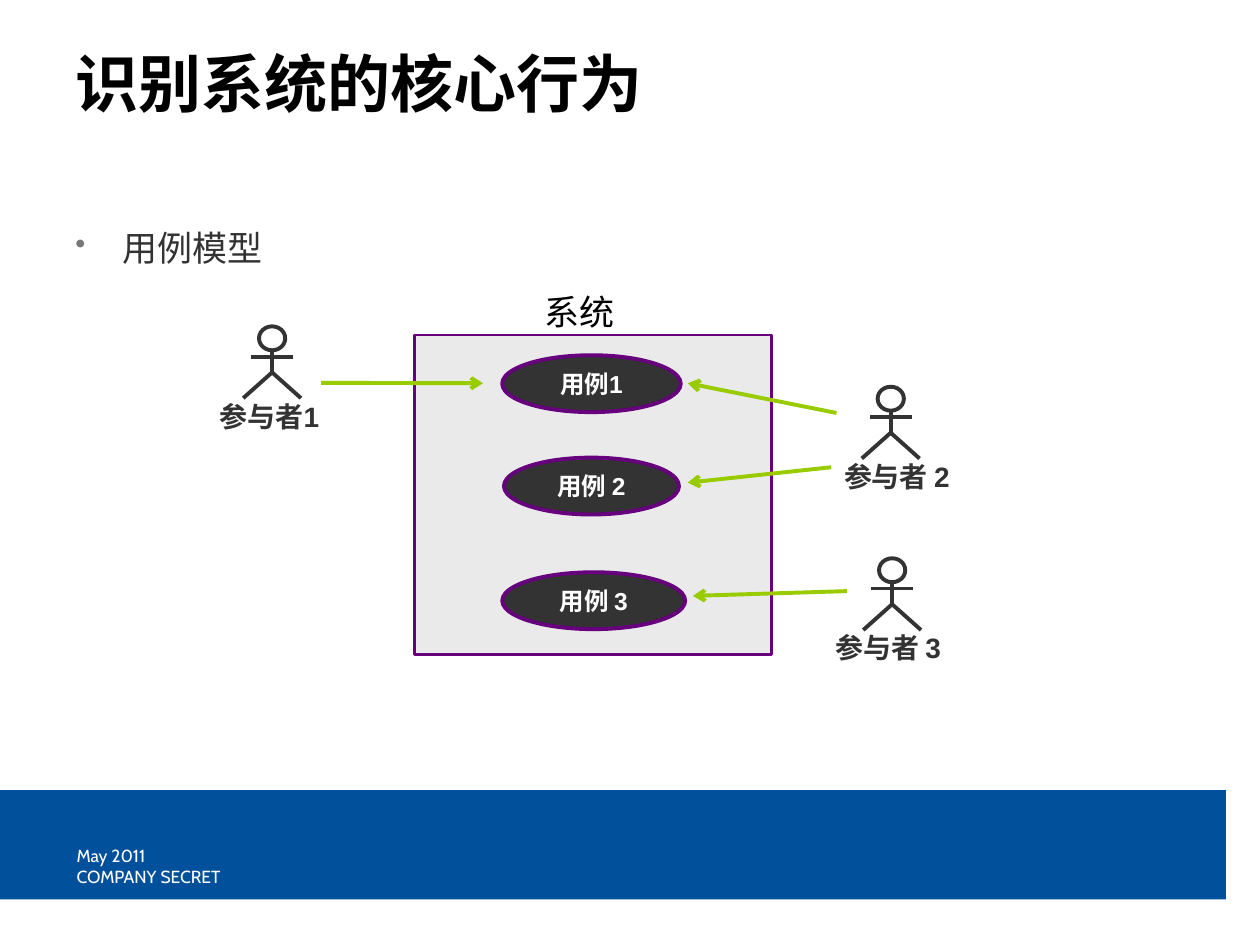
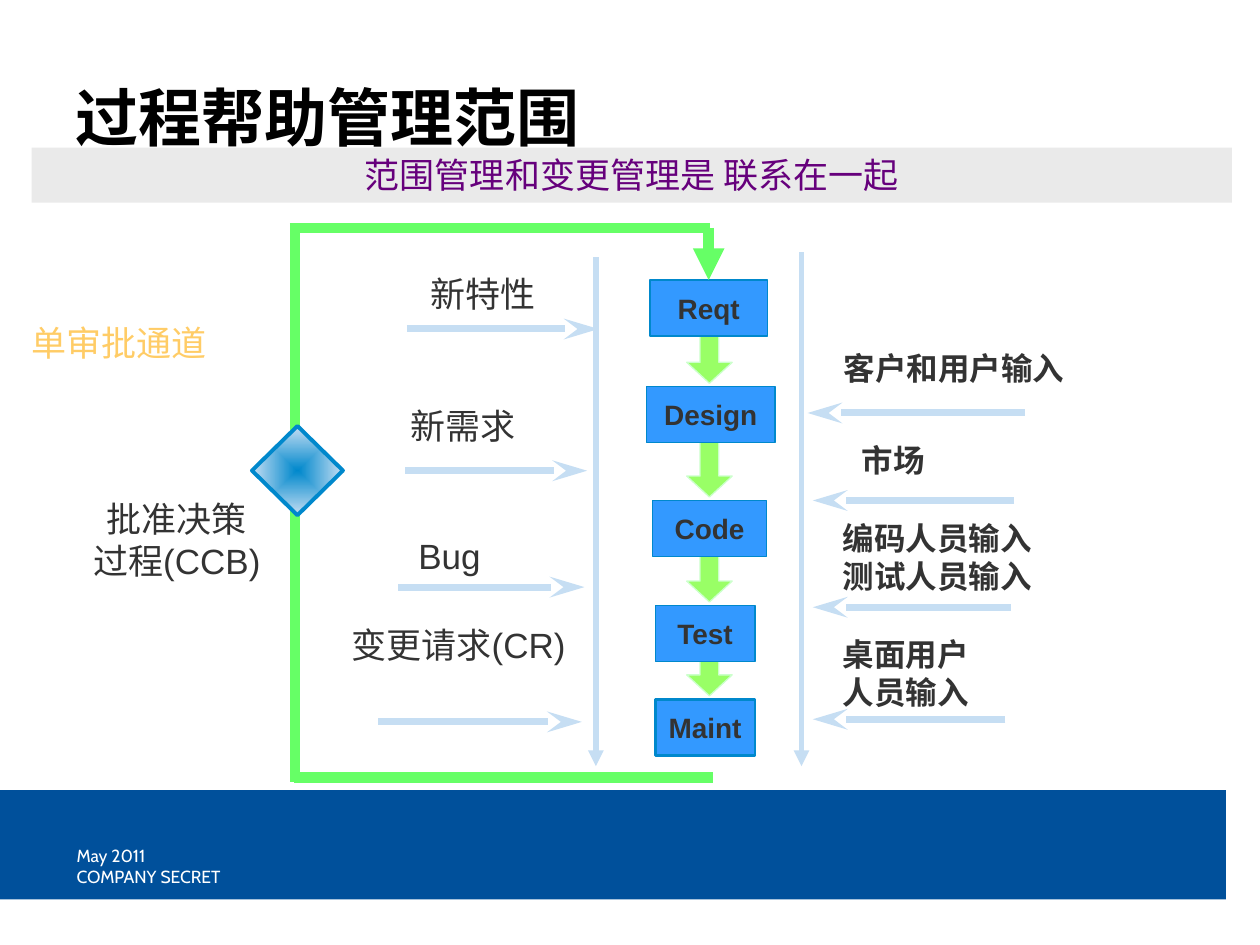
"""Builds two slides: a use-case model and a scope-management process."""
from lxml import etree
from pptx import Presentation
from pptx import util as u
from pptx.dml.color import RGBColor
from pptx.enum import shapes, text
from pptx.oxml.ns import qn

Pt = u.Pt
COLORS = dict(black="000000", white="FFFFFF", ink="333333", band="00509B", panel="EAEAEA",
              purple="66007C", lime="99CC00", bullet="777777", pale="C6DEF3", blue="3399FF",
              edge="0088CC", loop="66FF66", step="99FF66", step_edge="CCFFCC", amber="FFCC66")
FORMATS = dict(
    title=dict(name="Roboto", size=Pt(36), bold=True),
    footer=dict(name="Cabin", size=Pt(10)),
    bullet=dict(name="Cabin", size=Pt(20)),
    label=dict(name="Arial", size=Pt(20)),
    input=dict(name="Arial", size=Pt(18), bold=True),
    node=dict(name="Arial", size=Pt(16), bold=True),
    case=dict(name="Arial", size=Pt(14), bold=True),
)
LEFT, CENTER = text.PP_ALIGN.LEFT, text.PP_ALIGN.CENTER
TOP, MIDDLE = text.MSO_ANCHOR.TOP, text.MSO_ANCHOR.MIDDLE
KIND = shapes.MSO_SHAPE

FOOTER = ["May 2011", "COMPANY SECRET"]
TITLES = ["识别系统的核心行为", "过程帮助管理范围"]

USE_CASES = [("用例1", 287, 203, 102), ("用例 2", 288, 261.5, 100), ("用例 3", 287, 327, 104.5)]
ACTORS = [("参与者1", 155.5, 186.5, 154), ("参与者 2", 509, 221, 512.5),
          ("参与者 3", 509.8, 319, 507.5)]
USES = [(183.5, 218.8, 276, 219), (478, 236, 393, 219),
        (475, 267, 393, 275.8), (484, 337.8, 396, 340.5)]

BANNER = "范围管理和变更管理是 联系在一起"
REQUESTS = [("新特性", 239, 152, 232.5, 342, 188), ("新需求", 227.5, 227.5, 231.5, 335.5, 269),
            ("Bug", 232, 301.7, 227.5, 334, 335.5), ("变更请求(CR)", 193.7, 353, 216, 332.5, 412.5)]
INPUTS = [(["客户和用户输入"], 475, 196, 585.5, 461.5, 236),
          (["市场"], 485.3, 248.4, 579.5, 464.5, 286),
          (["编码人员输入", "测试人员输入"], 474.5, 293, 577.5, 464.5, 347),
          (["桌面用户", "人员输入"], 474.5, 359.3, 574.5, 464.5, 411)]
STEPS = [("Reqt", 371.5, 160, 67, 0.75), ("Design", 369.4, 221, 73.5, 0.75),
         ("Code", 373, 286, 65, 0.75), ("Test", 374.4, 346, 57, 0.75),
         ("Maint", 374.4, 399.6, 57, 1.5)]
STEP_H = 32
CHANNELS = [(340.5, 147), (458, 144)]
LOOP = [(168.5, 129.6, 168.5, 447), (165.6, 130.3, 406, 130.3), (167.8, 444.2, 407.5, 444.2)]


def rgb(key):
    return RGBColor.from_string(COLORS[key])


def fill_text(tf, lines, style, color, align=LEFT, anchor=TOP, wrap=True):
    for key, value in dict(word_wrap=wrap, vertical_anchor=anchor, margin_left=Pt(7.2),
                           margin_right=Pt(7.2), margin_top=Pt(3.6),
                           margin_bottom=Pt(3.6)).items():
        setattr(tf, key, value)
    for i, line in enumerate(lines):
        p = tf.add_paragraph() if i else tf.paragraphs[0]
        p.alignment = align
        r = p.add_run()
        r.text = line
        for key, value in FORMATS[style].items():
            setattr(r.font, key, value)
        r.font.color.rgb = rgb(color)


def write(s, lines, box, style, color, **layout):
    sp = s.shapes.add_textbox(*map(Pt, box))
    fill_text(sp.text_frame, lines, style, color, **layout)
    return sp


def paint(sp, fill=None, line=None, width=0.75):
    sp.shadow.inherit = False
    if fill:
        sp.fill.solid()
        sp.fill.fore_color.rgb = rgb(fill)
    else:
        sp.fill.background()
    if line:
        sp.line.color.rgb = rgb(line)
        sp.line.width = Pt(width)
    else:
        sp.line.fill.background()
    return sp


def shape(s, kind, box, *look):
    return paint(s.shapes.add_shape(kind, *map(Pt, box)), *look)


def connect(s, ends, color, width, head=None, length="med"):
    c = s.shapes.add_connector(shapes.MSO_CONNECTOR.STRAIGHT, *map(Pt, ends))
    c.line.color.rgb = rgb(color)
    c.line.width = Pt(width)
    spPr = c._element.spPr
    if head:
        etree.SubElement(spPr.find(qn("a:ln")), qn("a:tailEnd"), type=head, w="med", len=length)
    etree.SubElement(spPr, qn("a:effectLst"))
    return c


def add_bullet(p, indent):
    pPr = p._p.get_or_add_pPr()
    pPr.set("marL", str(Pt(indent)))
    pPr.set("indent", str(-Pt(indent)))
    clr = etree.SubElement(pPr, qn("a:buClr"))
    etree.SubElement(clr, qn("a:srgbClr"), val=COLORS["bullet"])
    etree.SubElement(pPr, qn("a:buSzPct"), val="85000")
    etree.SubElement(pPr, qn("a:buChar"), char="•")


def base(prs, title, anchor):
    s = prs.slides.add_slide(prs.slide_layouts[6])
    shape(s, KIND.RECTANGLE, (0, 451.5, 700.5, 62.5), "band")
    write(s, FOOTER, (36.7, 479.5, 227, 32), "footer", "white")
    write(s, [title], (36, 21.6, 533.5, 90), "title", "black", anchor=anchor)
    return s


def actor(s, name, x, y, label_x):
    shape(s, KIND.OVAL, (x - 7.5, y, 15, 13.7), None, "ink", 2.25)
    connect(s, (x, y + 13.7, x, y + 26.3), "ink", 2.25)
    connect(s, (x - 12, y + 17.3, x + 12, y + 17.3), "ink", 2.25)
    fb = s.shapes.build_freeform(Pt(x - 16.5), Pt(y + 41))
    fb.add_line_segments([(Pt(x), Pt(y + 26.3)), (Pt(x + 16.5), Pt(y + 41))], close=False)
    paint(fb.convert_to_shape(), None, "ink", 2.25)
    write(s, [name], (label_x - 50, y + 38, 100, 26.6), "node", "ink", align=CENTER)


def use_case_slide(prs):
    s = base(prs, TITLES[0], TOP)
    write(s, ["系统"], (304, 162.7, 60, 30), "label", "black")
    shape(s, KIND.RECTANGLE, (237, 191.5, 204, 182.5), "panel", "purple", 1.5)
    for name, x, y, w in USE_CASES:
        sp = shape(s, KIND.OVAL, (x, y, w, 32.5), "ink", "purple", 2.25)
        fill_text(sp.text_frame, [name], "case", "white", align=CENTER, anchor=MIDDLE, wrap=False)
    for item in ACTORS:
        actor(s, *item)
    for ends in USES:
        connect(s, ends, "lime", 2.25, "arrow")
    sp = write(s, ["用例模型"], (36, 126, 533.5, 36), "bullet", "ink")
    add_bullet(sp.text_frame.paragraphs[0], 27)


def decision(s):
    sp = shape(s, KIND.DIAMOND, (144, 243.4, 52, 51), "pale", "edge", 2.25)
    sp.fill.gradient()
    for stop, color in zip(sp.fill.gradient_stops, ("edge", "pale")):
        stop.color.rgb = rgb(color)
    grad = sp._element.spPr.find(qn("a:gradFill"))
    grad.remove(grad.find(qn("a:lin")))
    route = etree.Element(qn("a:path"), {"path": "rect"})
    etree.SubElement(route, qn("a:fillToRect"), dict.fromkeys("ltrb", "50000"))
    grad.find(qn("a:gsLst")).addnext(route)


def process_slide(prs):
    s = base(prs, TITLES[1], MIDDLE)
    sp = shape(s, KIND.RECTANGLE, (18, 84.3, 686, 31.5), "panel")
    fill_text(sp.text_frame, [BANNER], "label", "purple", align=CENTER)
    for name, x, y, start, end, arrow_y in REQUESTS:
        write(s, [name], (x, y, 160, 31), "label", "ink")
        connect(s, (start, arrow_y, end, arrow_y), "pale", 4, "stealth", "lg")
    for lines, x, y, start, end, arrow_y in INPUTS:
        write(s, lines, (x, y, 160, 7.2 + 21.6 * len(lines)), "input", "ink")
        connect(s, (start, arrow_y, end, arrow_y), "pale", 4, "stealth", "lg")
    for x, y in CHANNELS:
        connect(s, (x, y, x, 437.8), "pale", 3, "triangle")
    write(s, ["单审批通道"], (3, 180, 130, 31.5), "label", "amber", align=CENTER)
    write(s, ["批准决策", "过程(CCB)"], (31, 281, 140, 55.5), "label", "ink", align=CENTER)

    for name, x, y, w, width in STEPS[1:]:
        sp = shape(s, KIND.DOWN_ARROW, (392.4, y - 34, 26, 32), "step", "step_edge")
        sp.adjustments[0], sp.adjustments[1] = 0.41, 0.46
    boxes = []
    for name, x, y, w, width in STEPS:
        sp = shape(s, KIND.RECTANGLE, (x, y, w, STEP_H), "blue", "edge", width)
        fill_text(sp.text_frame, [name], "node", "ink", align=CENTER, anchor=MIDDLE, wrap=False)
        boxes.append(sp)

    for ends in LOOP:
        connect(s, ends, "loop", 6)
    x = STEPS[0][1] + STEPS[0][3] / 2
    c = connect(s, (x, 130.3, x, STEPS[0][2]), "loop", 6, "triangle")
    c.end_connect(boxes[0], 0)
    decision(s)


def main():
    prs = Presentation()
    prs.slide_width, prs.slide_height = Pt(720), Pt(540)
    use_case_slide(prs)
    process_slide(prs)
    prs.save("out.pptx")


if __name__ == "__main__":
    main()
